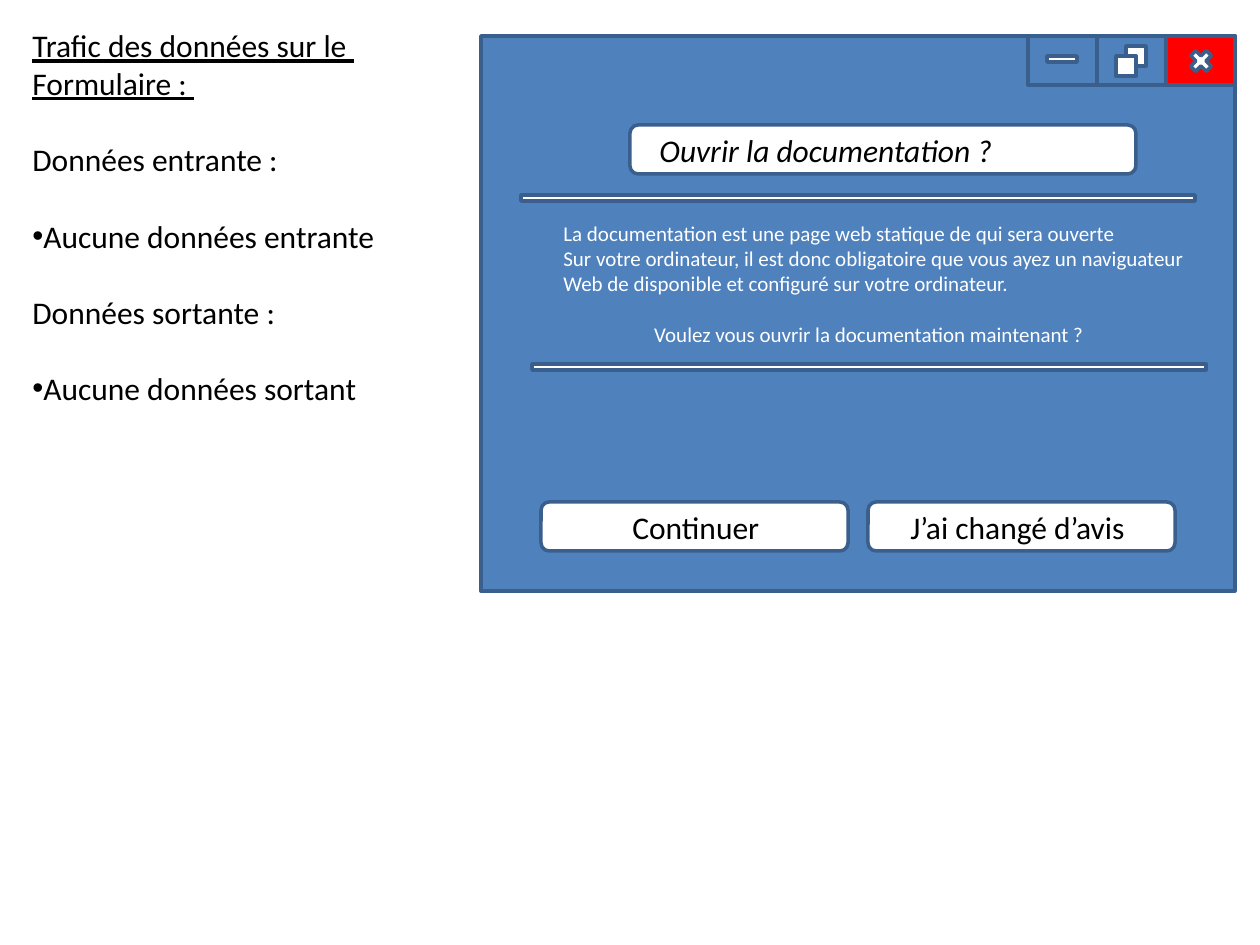
from dataclasses import dataclass

from lxml.etree import SubElement
from pptx import Presentation
from pptx.dml.color import RGBColor
from pptx.enum.shapes import MSO_SHAPE as Shape
from pptx.enum.text import MSO_AUTO_SIZE as AutoSize, PP_ALIGN as Align
from pptx.oxml.ns import qn
from pptx.util import Emu, Pt

PX = 914400 / 126
FONT = "Calibri"
LINE_HEIGHT = 1.22
COLORS = {
    "window": "4F81BD",
    "outline": "3A5F8C",
    "close": "FF0000",
    "white": "FFFFFF",
    "black": "000000",
}


@dataclass
class Box:
    x: int
    y: int
    w: int
    h: int
    color: str = "white"
    kind: Shape = Shape.RECTANGLE


@dataclass
class Line:
    text: str
    gap: bool = False  # one line of space above
    bullet: bool = False
    underline: bool = False
    italic: bool = False
    align: Align = Align.LEFT


def px(value: int) -> Emu:
    return Emu(round(value * PX))


def rgb(name: str) -> RGBColor:
    return RGBColor.from_string(COLORS[name])


def draw_box(slide, box: Box) -> None:
    sp = slide.shapes.add_shape(box.kind, px(box.x), px(box.y), px(box.w), px(box.h))
    sp.shadow.inherit = False
    sp.fill.solid()
    sp.fill.fore_color.rgb = rgb(box.color)
    sp.line.color.rgb = rgb("outline")
    sp.line.width = Pt(2)


def add_bullet(p) -> None:
    pPr = p._p.get_or_add_pPr()
    SubElement(pPr, qn("a:buFont")).set("typeface", "Arial")
    SubElement(pPr, qn("a:buChar")).set("char", "•")


def draw_text(slide, area: Box, lines: list[Line], size: int = 18, wrap: bool = False) -> None:
    sp = slide.shapes.add_textbox(px(area.x), px(area.y), px(area.w), px(area.h))
    tf = sp.text_frame
    tf.word_wrap = wrap
    tf.auto_size = AutoSize.SHAPE_TO_FIT_TEXT
    tf.text = "\n".join(line.text for line in lines)
    for p, line in zip(tf.paragraphs, lines):
        p.alignment = line.align
        if line.gap:
            p.space_before = Pt(round(size * LINE_HEIGHT, 1))
        if line.bullet:
            add_bullet(p)
        font = p.runs[0].font
        font.name = FONT
        font.size = Pt(size)
        font.color.rgb = rgb(area.color)
        font.underline = line.underline
        font.italic = line.italic


def draw_window(slide) -> None:
    left, top, width, height = 481, 36, 754, 555
    draw_box(slide, Box(left, top, width, height, "window"))

    # Title bar buttons, from the right edge inwards
    button_w, button_h = 69, 49
    for i, color in enumerate(["close", "window", "window"], start=1):
        draw_box(slide, Box(left + width - i * button_w, top, button_w, button_h, color))

    # Minimise, close and restore icons
    draw_box(slide, Box(1047, 56, 30, 6))
    draw_box(slide, Box(1186, 46, 30, 30, kind=Shape.MATH_MULTIPLY))
    for x, y in [(1126, 46), (1116, 56)]:
        draw_box(slide, Box(x, y, 20, 20))

    # Separators
    for x, y in [(521, 195), (532, 364)]:
        draw_box(slide, Box(x, y, 674, 6))


def draw_dialog(slide) -> None:
    # Heading field and the two answer buttons
    for x, y, w in [(630, 125, 506), (541, 502, 307), (868, 502, 307)]:
        draw_box(slide, Box(x, y, w, 49, kind=Shape.ROUNDED_RECTANGLE))
    draw_text(slide, Box(640, 125, 515, 50, "black"),
              [Line(" Ouvrir la documentation ?", italic=True)], wrap=True)
    draw_text(slide, Box(620, 502, 154, 50, "black"), [Line("Continuer")])
    draw_text(slide, Box(898, 502, 242, 50, "black"), [Line("J’ai changé d’avis")])

    # Message
    draw_text(slide, Box(551, 214, 651, 140), [
        Line("La documentation est une page web statique de qui sera ouverte"),
        Line("Sur votre ordinateur, il est donc obligatoire que vous ayez un naviguateur"),
        Line("Web de disponible et configuré sur votre ordinateur."),
        Line("Voulez vous ouvrir la documentation maintenant ?  ", gap=True, align=Align.CENTER),
    ], size=12)


def draw_data_notes(slide) -> None:
    draw_text(slide, Box(20, 20, 372, 394, "black"), [
        Line("Trafic des données sur le ", underline=True),
        Line("Formulaire : ", underline=True),
        Line("Données entrante :", gap=True),
        Line("Aucune données entrante", gap=True, bullet=True),
        Line("Données sortante :", gap=True),
        Line("Aucune données sortant", gap=True, bullet=True),
    ])


def main() -> None:
    prs = Presentation()
    prs.slide_width, prs.slide_height = px(1260), px(945)
    slide = prs.slides.add_slide(prs.slide_layouts[6])
    draw_window(slide)
    draw_dialog(slide)
    draw_data_notes(slide)
    prs.save("out.pptx")


if __name__ == "__main__":
    main()
